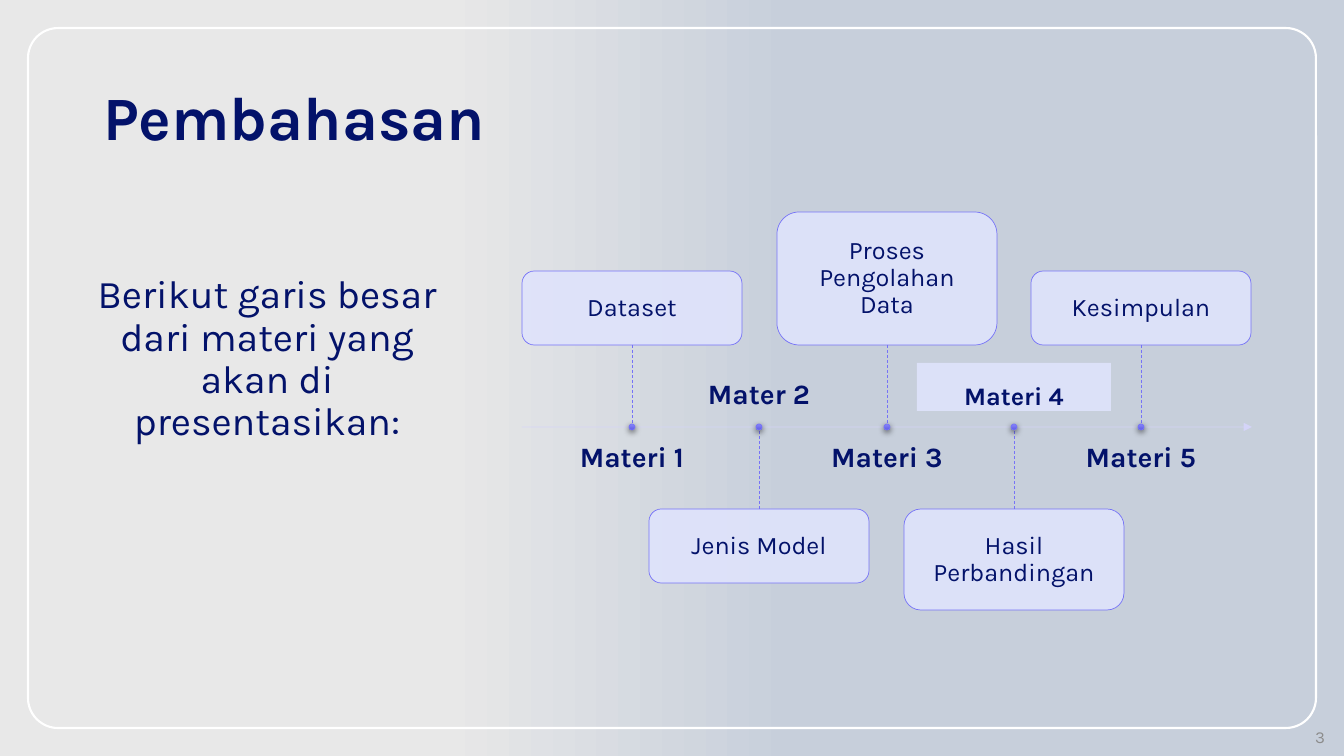
from lxml import etree
from pptx import Presentation
from pptx.dml.color import RGBColor
from pptx.enum.dml import MSO_LINE
from pptx.enum.shapes import MSO_CONNECTOR, MSO_SHAPE
from pptx.enum.text import MSO_ANCHOR, MSO_AUTO_SIZE, PP_ALIGN
from pptx.oxml.ns import qn
from pptx.util import Emu, Pt

FONT = "Karla"
NAVY, VIOLET, LAVENDER, AXIS, WHITE, GRAY = (
    "03126A", "7673F7", "DFE3FC", "D6D5FC", "FFFFFF", "8C8C8C")

# Timeline geometry in px
AXIS_Y, STEM, BOX_W = 427, 82, 220
LABEL_W, LABEL_H, LABEL_GAP, DOT = 194, 48, 16, 6
FIRST_X, STEP = 632, 127.3

# Label, label size, label fill, topic, box height
MILESTONES = [
    ("Materi 1", 20, None, "Dataset", 74),
    ("Mater 2", 20, None, "Jenis Model", 74),
    ("Materi 3", 20, None, "Proses Pengolahan Data", 133),
    ("Materi 4", 18, LAVENDER, "Hasil Perbandingan", 101),
    ("Materi 5", 20, None, "Kesimpulan", 74),
]


def px(length):
    return Emu(round(length * 12192000 / 1344))


def color(code):
    return RGBColor.from_string(code)


def add_alpha(element, percent):
    """Make the first solid colour inside element partly transparent."""
    rgb = element.find(".//" + qn("a:srgbClr"))
    etree.SubElement(rgb, qn("a:alpha"), val=str(percent * 1000))


def fill_gradient(fill, angle, stops):
    fill.gradient()
    fill.gradient_angle = angle
    for stop, (position, code) in zip(fill.gradient_stops, stops):
        stop.position = position
        stop.color.rgb = color(code)


def write(shape, text, size, code=NAVY, bold=False, align=PP_ALIGN.CENTER,
          anchor=MSO_ANCHOR.TOP, margins=None, spacing=0.9):
    frame = shape.text_frame
    frame.word_wrap = True
    frame.auto_size = MSO_AUTO_SIZE.NONE
    frame.vertical_anchor = anchor
    if margins is not None:
        frame.margin_left = frame.margin_right = px(margins)
        frame.margin_top = frame.margin_bottom = px(margins)
    paragraph = frame.paragraphs[0]
    paragraph.alignment = align
    paragraph.line_spacing = spacing
    paragraph.space_before = Pt(0)
    run = paragraph.add_run()
    run.text = text
    run.font.name = FONT
    run.font.size = Pt(size)
    run.font.bold = bold
    run.font.color.rgb = color(code)


def place(shape, left, top, width, height):
    shape.left, shape.top = px(left), px(top)
    shape.width, shape.height = px(width), px(height)


def add_rounded(slide, left, top, width, height, line, weight, fill=None):
    rounded = slide.shapes.add_shape(
        MSO_SHAPE.ROUNDED_RECTANGLE, px(left), px(top), px(width), px(height))
    rounded.shadow.inherit = False
    rounded.line.color.rgb = color(line)
    rounded.line.width = Pt(weight)
    if fill:
        rounded.fill.solid()
        rounded.fill.fore_color.rgb = color(fill)
        add_alpha(rounded.fill._xPr.find(qn("a:solidFill")), 90)
    else:
        rounded.fill.background()
    return rounded


def add_line(slide, x1, y1, x2, y2, code):
    line = slide.shapes.add_connector(
        MSO_CONNECTOR.STRAIGHT, px(x1), px(y1), px(x2), px(y2))
    line.line.color.rgb = color(code)
    line.line.width = Pt(0.5)
    etree.SubElement(line._element.spPr, qn("a:effectLst"))
    return line


def add_axis(slide):
    axis = add_line(slide, 522, AXIS_Y, 1252, AXIS_Y, AXIS)
    outline = axis.line._get_or_add_ln()
    add_alpha(outline, 90)
    etree.SubElement(outline, qn("a:tailEnd"), type="triangle")


def add_dot(slide, x):
    dot = slide.shapes.add_shape(
        MSO_SHAPE.OVAL, px(x - DOT / 2), px(AXIS_Y - DOT / 2), px(DOT), px(DOT))
    fill_gradient(dot.fill, 270, [(0, "8886FA"), (1, "605DE5")])
    dot.line.color.rgb = color(VIOLET)
    dot.line.width = Pt(0.5)
    # Soft shadow straight below the dot
    dot.shadow.inherit = False
    effects = dot._element.spPr.find(qn("a:effectLst"))
    shadow = etree.SubElement(
        effects, qn("a:outerShdw"), blurRad=str(Pt(4.5)), dist=str(Pt(1.5)),
        dir="5400000", rotWithShape="0")
    etree.SubElement(shadow, qn("a:srgbClr"), val="000000")
    add_alpha(effects, 63)


def add_label(slide, x, top, text, size, fill, anchor):
    label = slide.shapes.add_textbox(
        px(x - LABEL_W / 2), px(top), px(LABEL_W), px(LABEL_H))
    if fill:
        label.fill.solid()
        label.fill.fore_color.rgb = color(fill)
        add_alpha(label._element.spPr, 90)
    write(label, text, size, bold=True, anchor=anchor, margins=0)


def add_milestone(slide, index, label, label_size, label_fill, topic, height):
    x = round(FIRST_X + STEP * index)
    above = index % 2 == 0
    # Boxes alternate above and below the axis, labels sit opposite
    if above:
        box_top, box_side = AXIS_Y - STEM - height, 2
        label_top, anchor = AXIS_Y + LABEL_GAP, MSO_ANCHOR.TOP
    else:
        box_top, box_side = AXIS_Y + STEM, 0
        label_top, anchor = AXIS_Y - LABEL_GAP - LABEL_H, MSO_ANCHOR.BOTTOM
    box = add_rounded(slide, x - BOX_W / 2, box_top, BOX_W, height,
                      VIOLET, 0.5, LAVENDER)
    write(box, topic, 18, anchor=MSO_ANCHOR.MIDDLE, margins=17)
    stem_y = AXIS_Y - STEM if above else AXIS_Y + STEM
    stem = add_line(slide, x, stem_y, x, AXIS_Y, VIOLET)
    stem.line.dash_style = MSO_LINE.DASH
    stem.begin_connect(box, box_side)
    add_label(slide, x, label_top, label, label_size, label_fill, anchor)
    add_dot(slide, x)


def main():
    deck = Presentation()
    deck.slide_width, deck.slide_height = px(1344), px(756)
    slide = deck.slides.add_slide(deck.slide_layouts[1])

    # Background and frame
    fill_gradient(slide.background.fill, 0, [(0.33, "E8E8E8"), (0.59, "C7CFDB")])
    frame = add_rounded(slide, 28, 28, 1288, 700, WHITE, 1.5)
    frame.adjustments[0] = 0.043

    # Title and introduction
    title, intro = slide.placeholders
    place(title, 93, 68, 1158, 91)
    write(title, "Pembahasan", 44, bold=True, align=PP_ALIGN.LEFT,
          anchor=MSO_ANCHOR.BOTTOM)
    place(intro, 79, 270, 376, 265)
    intro_props = intro.text_frame.paragraphs[0]._p.get_or_add_pPr()
    intro_props.set("marL", "0")
    intro_props.set("indent", "0")
    etree.SubElement(intro_props, qn("a:buNone"))
    write(intro, "Berikut garis besar dari materi yang akan di presentasikan:", 28)

    # Timeline
    add_axis(slide)
    for index, milestone in enumerate(MILESTONES):
        add_milestone(slide, index, *milestone)

    # Page number
    page_number = slide.shapes.add_textbox(px(1033), px(724), px(302), px(25))
    write(page_number, "3", 12, GRAY, align=PP_ALIGN.RIGHT,
          anchor=MSO_ANCHOR.MIDDLE, spacing=1.0)

    deck.save("out.pptx")


if __name__ == "__main__":
    main()
